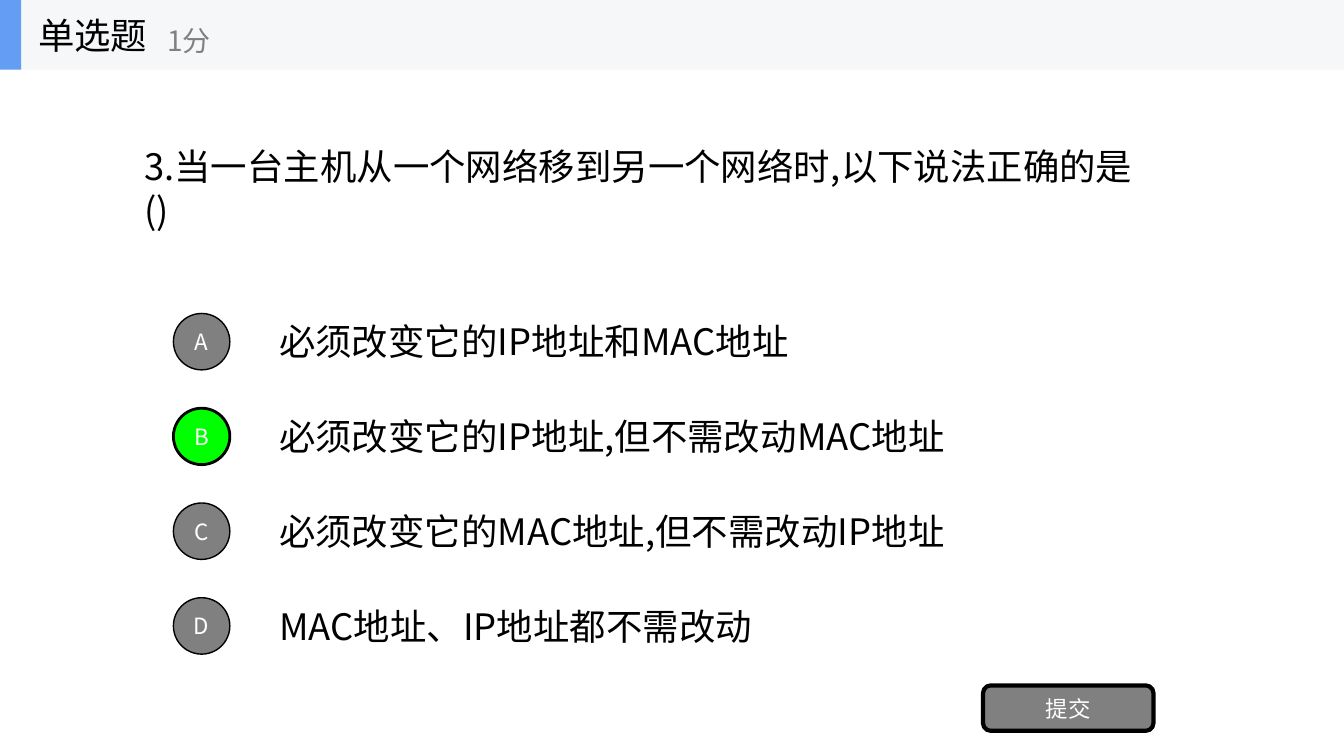
import dataclasses

import pptx
import pptx.dml.color
import pptx.enum.shapes
import pptx.enum.text
import pptx.oxml.ns
import pptx.util

SCALE = 9144
SHAPES = pptx.enum.shapes.MSO_SHAPE
ALIGN = pptx.enum.text.PP_ALIGN
FIT = pptx.enum.text.MSO_AUTO_SIZE


@dataclasses.dataclass(frozen=True)
class Theme:
    font: str = "Noto Sans CJK SC"
    ink: str = "000000"
    grey: str = "808080"
    white: str = "FFFFFF"
    correct: str = "00FF00"
    band: str = "F6F7F8"
    accent: str = "639EF4"
    body_size: int = 26
    score_size: int = 20
    button_size: int = 16


THEME = Theme()
QUESTION = "3.当一台主机从一个网络移到另一个网络时,以下说法正确的是()"
CORRECT_LETTER = "B"
OPTIONS = [
    ("A", "必须改变它的IP地址和MAC地址", 534),
    ("B", "必须改变它的IP地址,但不需改动MAC地址", 687),
    ("C", "必须改变它的MAC地址,但不需改动IP地址", 687),
    ("D", "MAC地址、IP地址都不需改动", 498),
]
OPTION_TOP = 311
OPTION_PITCH = 94


def px(value):
    return pptx.util.Emu(value * SCALE)


def rgb(color):
    return pptx.dml.color.RGBColor.from_string(color)


def apply(target, values):
    for name, value in values.items():
        setattr(target, name, value)


def write(box, text, size, color, align=ALIGN.LEFT, wrap=True, fit=FIT.NONE):
    frame = box.text_frame
    apply(frame, {"word_wrap": wrap, "auto_size": fit,
                  "vertical_anchor": pptx.enum.text.MSO_ANCHOR.MIDDLE})
    para = frame.paragraphs[0]
    para.alignment = align
    span = para.add_run()
    span.text = text
    apply(span.font, {"size": pptx.util.Pt(size), "name": THEME.font})
    span.font.color.rgb = rgb(color)
    east_asian = span.font._element.makeelement(
        pptx.oxml.ns.qn("a:ea"), {"typeface": THEME.font})
    span.font._element.append(east_asian)


def add_text(shapes, area, text, size, color, **layout):
    box = shapes.add_textbox(*map(px, area))
    write(box, text, size, color, **layout)


def add_block(shapes, kind, area, fill, line_width=0):
    block = shapes.add_shape(kind, *map(px, area))
    block.shadow.inherit = False
    block.fill.solid()
    block.fill.fore_color.rgb = rgb(fill)
    if line_width:
        block.line.color.rgb = rgb(THEME.ink)
        block.line.width = pptx.util.Pt(line_width)
    else:
        block.line.fill.background()
    return block


def add_button(shapes, kind, area, text, fill, line_width):
    button = add_block(shapes, kind, area, fill, line_width)
    write(button, text, THEME.button_size, THEME.white, align=ALIGN.CENTER)


def add_question(page):
    title = page.shapes.title
    area = {"left": 133, "top": 160, "width": 1022, "height": 53}
    apply(title, {name: px(value) for name, value in area.items()})
    write(title, QUESTION, THEME.body_size, THEME.ink, fit=FIT.SHAPE_TO_FIT_TEXT)


def add_option(page, top, letter, text, width):
    add_text(page.shapes, (267, top + 1, width, 53), text,
             THEME.body_size, THEME.ink, fit=FIT.SHAPE_TO_FIT_TEXT)
    chosen = letter == CORRECT_LETTER
    add_button(page.shapes, SHAPES.OVAL, (172, top, 56, 56), letter,
               THEME.correct if chosen else THEME.grey, 2 if chosen else 1)


def add_header(page):
    header = page.shapes.add_group_shape().shapes
    add_block(header, SHAPES.RECTANGLE, (0, 0, 1333, 69), THEME.band)
    add_block(header, SHAPES.RECTANGLE, (0, 0, 21, 69), THEME.accent)
    add_text(header, (28, 0, 208, 69), "单选题",
             THEME.body_size, THEME.ink, wrap=False)
    add_text(header, (156, 12, 250, 56), "1分",
             THEME.score_size, THEME.grey, wrap=False)


def main():
    deck = pptx.Presentation()
    apply(deck, {"slide_width": px(1333), "slide_height": px(750)})
    page = deck.slides.add_slide(deck.slide_layouts[5])
    add_question(page)
    for index, option in enumerate(OPTIONS):
        add_option(page, OPTION_TOP + index * OPTION_PITCH, *option)
    add_button(page.shapes, SHAPES.ROUNDED_RECTANGLE, (975, 680, 169, 45),
               "提交", THEME.grey, 3)
    add_header(page)
    deck.save("out.pptx")


if __name__ == "__main__":
    main()
